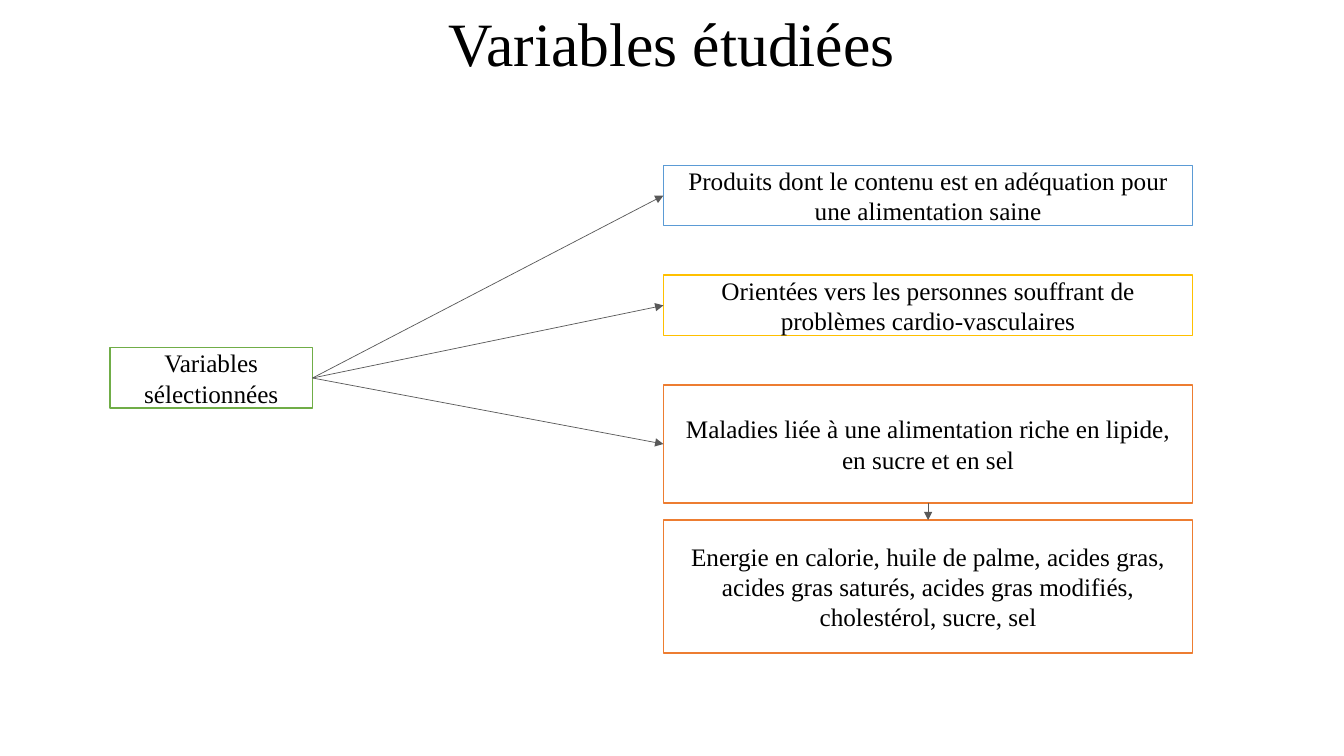
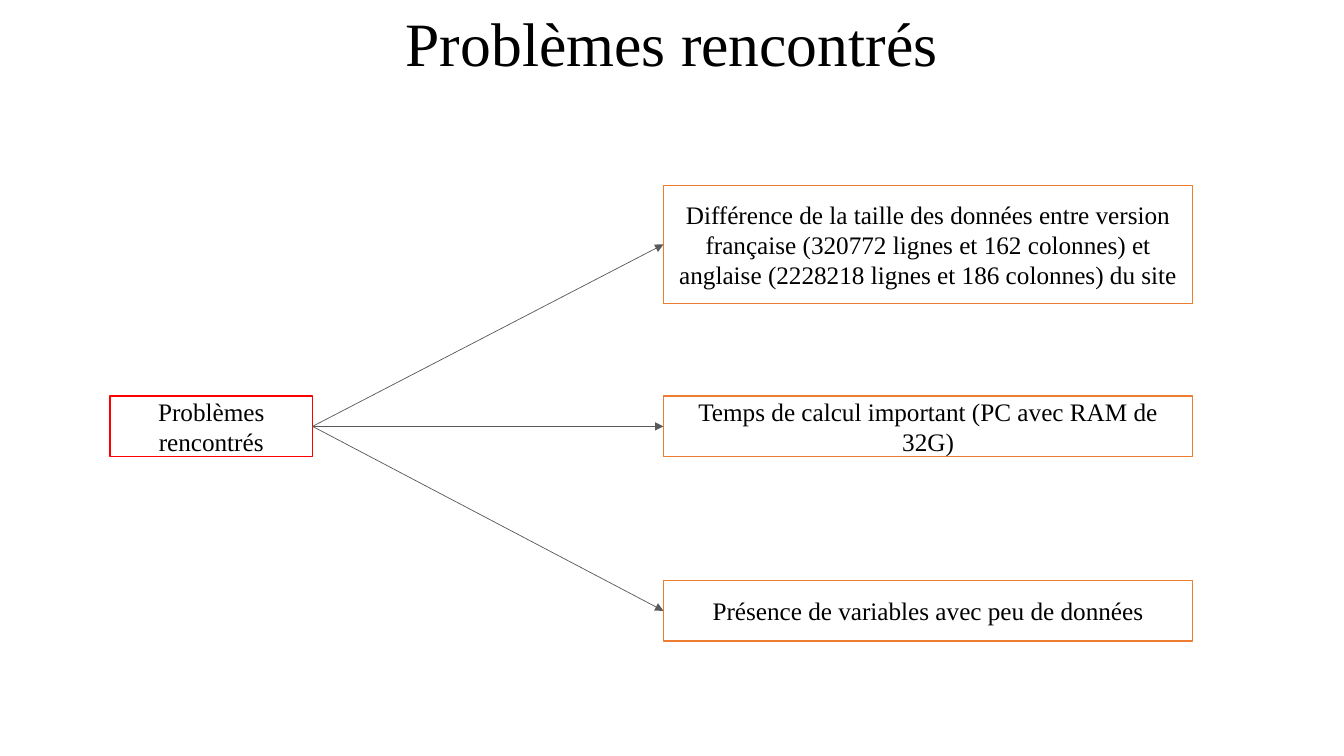
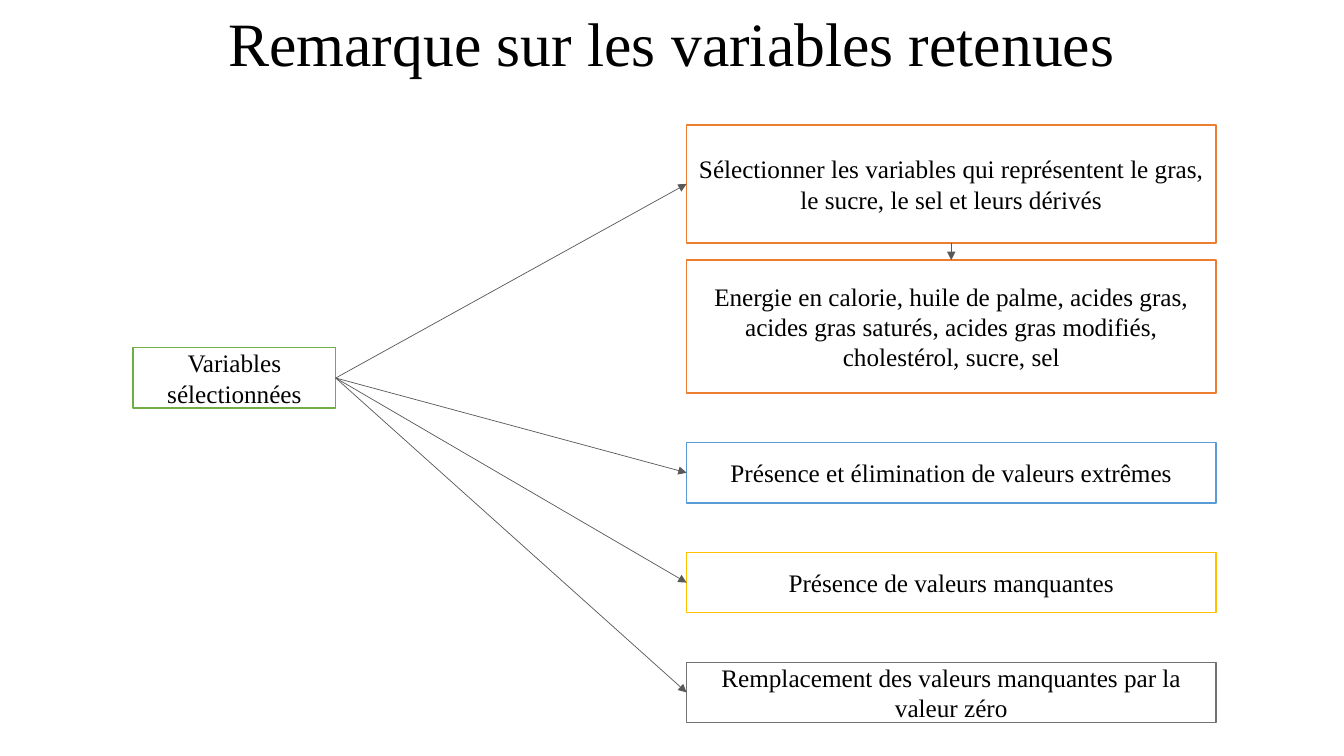
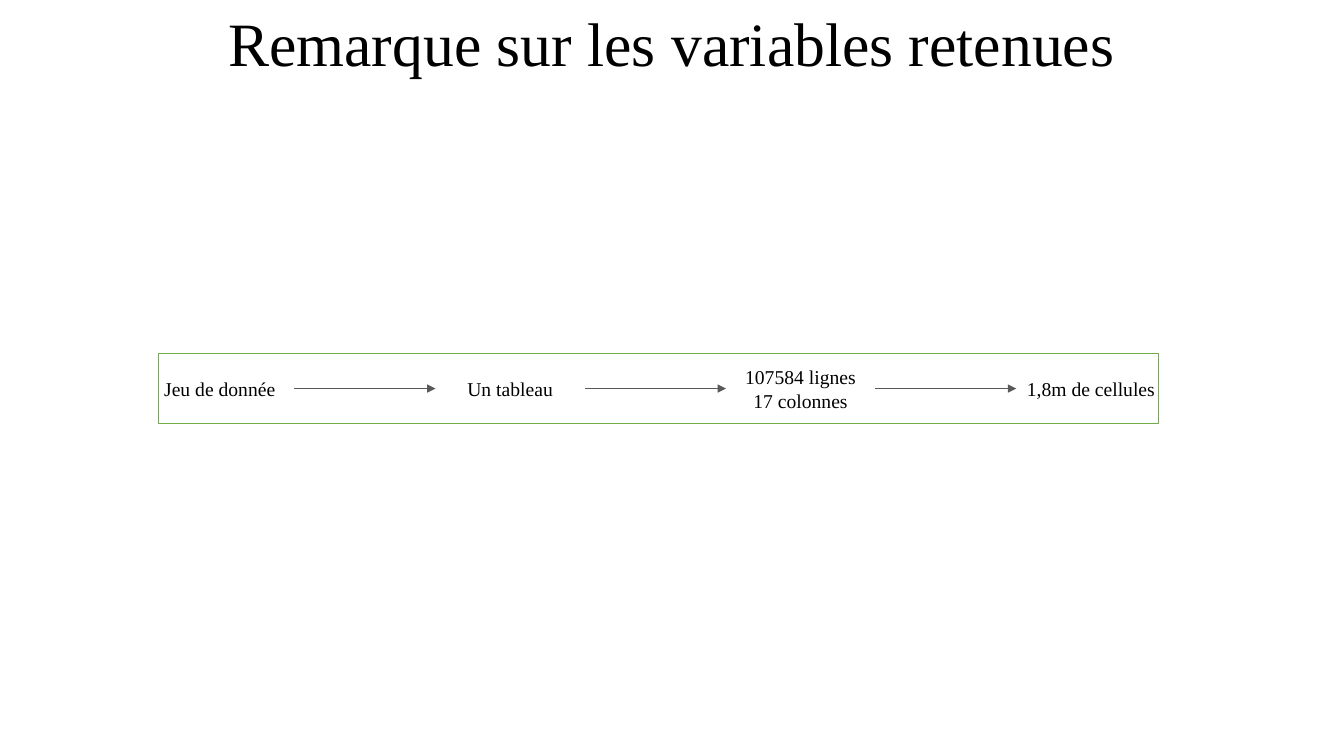
import dataclasses

import pptx
import pptx.dml.color
import pptx.enum.shapes
import pptx.enum.text
import pptx.oxml
import pptx.oxml.ns
import pptx.util

W, H = 13.33, 7.5
FONT = "Times New Roman"
BLACK, WHITE, GREY = "000000", "FFFFFF", "595959"
GREEN, ORANGE, BLUE = "70AD47", "ED7D31", "5B9BD5"
YELLOW, RED, DARK = "FFC000", "FF0000", "767171"
TOP, LEFT, BOTTOM, RIGHT = range(4)
ROW_H, BOX_H, DETAIL_H = 0.6, 1.17, 1.32
GAP, DETAIL_GAP = 0.49, 0.17
NUTRIENTS = ("Energie en calorie, huile de palme, acides gras, acides gras saturés, "
             "acides gras modifiés, cholestérol, sucre, sel")


@dataclasses.dataclass
class Effect:
    text: str
    colour: str
    height: float = ROW_H
    gap: float = GAP
    is_detail: bool = False


def rgb(colour):
    return pptx.dml.color.RGBColor.from_string(colour)


def inches(*lengths):
    return [pptx.util.Inches(length) for length in lengths]


def write(shape, text, size, spacing=None, margin=0.1):
    tf = shape.text_frame
    tf.word_wrap = True
    tf.vertical_anchor = pptx.enum.text.MSO_ANCHOR.MIDDLE
    tf.margin_left = tf.margin_right = pptx.util.Inches(margin)
    for i, line in enumerate(text.split("\n")):
        p = tf.add_paragraph() if i else tf.paragraphs[0]
        p.alignment = pptx.enum.text.PP_ALIGN.CENTER
        p.line_spacing = spacing
        r = p.add_run()
        r.text = line
        r.font.name = FONT
        r.font.size = pptx.util.Pt(size)
        r.font.color.rgb = rgb(BLACK)


def add_text(s, box, text, size, **style):
    sp = s.shapes.add_textbox(*inches(*box))
    write(sp, text, size, **style)
    return sp


def add_rect(s, box, colour, text=None):
    sp = s.shapes.add_shape(pptx.enum.shapes.MSO_SHAPE.RECTANGLE, *inches(*box))
    sp.shadow.inherit = False
    sp.line.color.rgb = rgb(colour)
    sp.line.width = pptx.util.Pt(1)
    if text:
        sp.fill.solid()
        sp.fill.fore_color.rgb = rgb(WHITE)
        write(sp, text, 18)
    else:
        sp.fill.background()
    return sp


def add_arrow(s, start, start_side, end, end_side):
    c = s.shapes.add_connector(pptx.enum.shapes.MSO_CONNECTOR.STRAIGHT, 0, 0, 0, 0)
    c.begin_connect(start, start_side)
    c.end_connect(end, end_side)
    c.line.color.rgb = rgb(GREY)
    c.line.width = pptx.util.Pt(0.5)
    spPr = c.element.spPr
    ln = spPr.find(pptx.oxml.ns.qn("a:ln"))
    ns = pptx.oxml.ns.nsdecls("a")
    ln.append(pptx.oxml.parse_xml(f'<a:tailEnd {ns} type="triangle"/>'))
    spPr.append(pptx.oxml.parse_xml(f"<a:effectLst {ns}/>"))


def add_slide(prs, title):
    s = prs.slides.add_slide(prs.slide_layouts[6])
    add_text(s, (0, 0, W, 0.92), title, 44, spacing=0.9)
    return s


def add_tree(s, box, cause_y, cause, colour, effects):
    x, y, w = box
    effect_w = 5.25
    root = add_rect(s, (x, y + cause_y, 2.01, ROW_H), colour, cause)
    effect_x = x + w - effect_w
    previous = None
    for effect in effects:
        if previous:
            y += effect.gap
        sp = add_rect(s, (effect_x, y, effect_w, effect.height), effect.colour, effect.text)
        if effect.is_detail:
            add_arrow(s, previous, BOTTOM, sp, TOP)
        else:
            add_arrow(s, root, RIGHT, sp, LEFT)
        y += effect.height
        previous = sp


def add_flow(s, box, steps):
    x, y, w, h = box
    step_w, step_h, pitch = 1.48, 0.53, 2.88
    previous = None
    for i, text in enumerate(steps):
        place = (x - 0.13 + i * pitch, y + (h - step_h) / 2, step_w, step_h)
        sp = add_text(s, place, text, 14, margin=0.05)
        if previous:
            add_arrow(s, previous, RIGHT, sp, LEFT)
        previous = sp
    add_rect(s, box, GREEN)


def main():
    prs = pptx.Presentation()
    prs.slide_width, prs.slide_height = inches(W, H)
    tree_w = 10.74
    detail = Effect(NUTRIENTS, ORANGE, DETAIL_H, DETAIL_GAP, True)

    s = add_slide(prs, "Variables étudiées")
    add_tree(s, (1.09, 1.64, tree_w), 1.81, "Variables sélectionnées", GREEN, [
        Effect("Produits dont le contenu est en adéquation pour une alimentation saine", BLUE),
        Effect("Orientées vers les personnes souffrant de problèmes cardio-vasculaires", YELLOW),
        Effect("Maladies liée à une alimentation riche en lipide, en sucre et en sel",
               ORANGE, BOX_H),
        detail,
    ])

    s = add_slide(prs, "Problèmes rencontrés")
    add_tree(s, (1.09, 1.84, tree_w), 2.09, "Problèmes rencontrés", RED, [
        Effect("Différence de la taille des données entre version française "
               "(320772 lignes et 162 colonnes) et anglaise "
               "(2228218 lignes et 186 colonnes) du site", ORANGE, BOX_H),
        Effect("Temps de calcul important (PC avec RAM de 32G)", ORANGE, gap=0.92),
        Effect("Présence de variables avec peu de données", ORANGE, gap=1.23),
    ])

    s = add_slide(prs, "Remarque sur les variables retenues")
    add_tree(s, (1.32, 1.24, tree_w), 2.21, "Variables sélectionnées", GREEN, [
        Effect("Sélectionner les variables qui représentent le gras, le sucre, "
               "le sel et leurs dérivés", ORANGE, BOX_H),
        detail,
        Effect("Présence et élimination de valeurs extrêmes", BLUE),
        Effect("Présence de valeurs manquantes", YELLOW),
        Effect("Remplacement des valeurs manquantes par la valeur zéro", DARK),
    ])

    s = add_slide(prs, "Remarque sur les variables retenues")
    add_flow(s, (1.57, 3.51, 9.92, 0.69), [
        "Jeu de donnée", "Un tableau", "107584 lignes\n17 colonnes", "1,8m de cellules"])

    prs.save("out.pptx")


if __name__ == "__main__":
    main()
